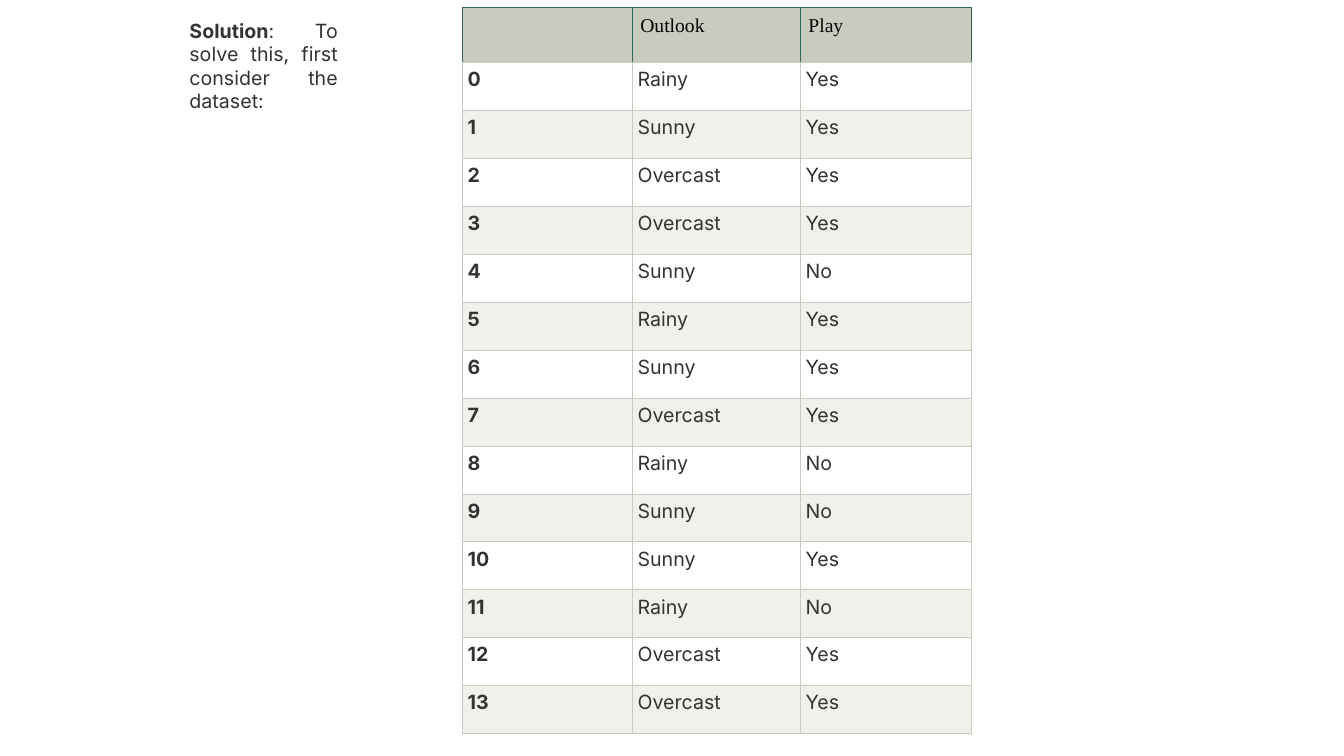
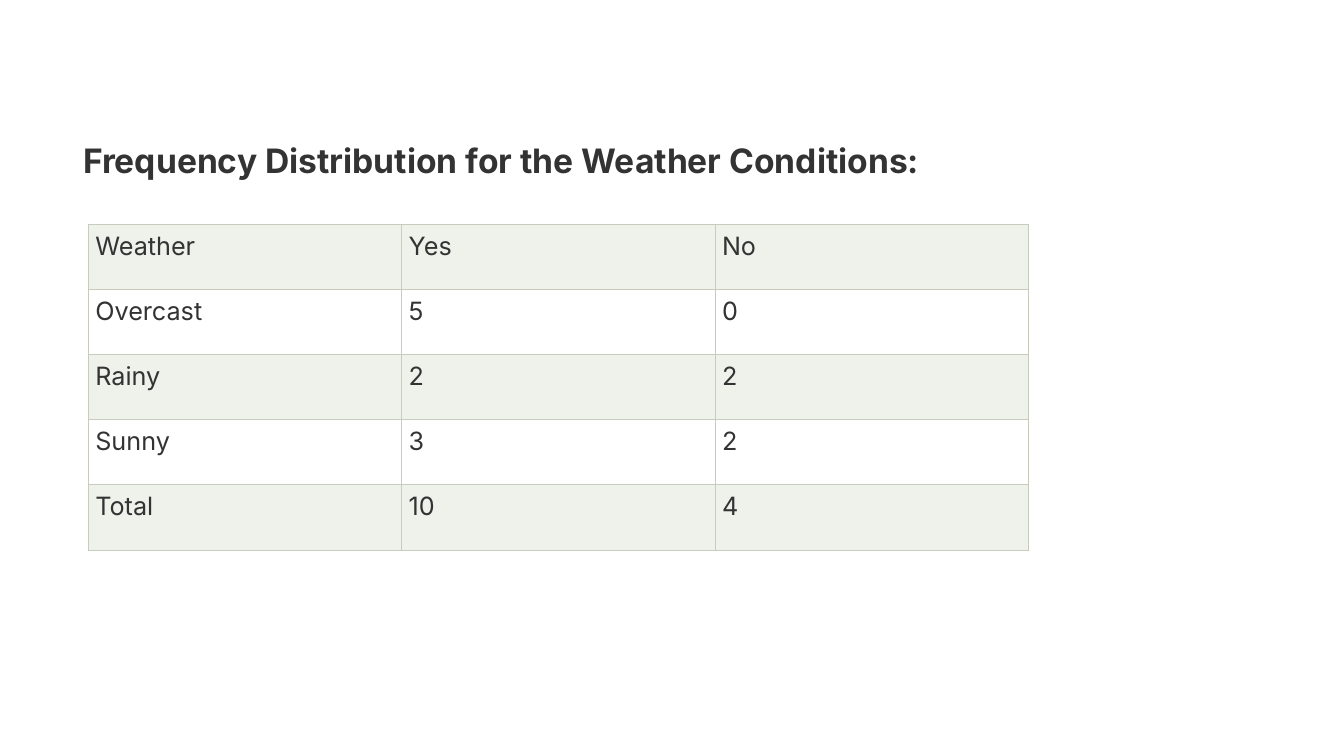
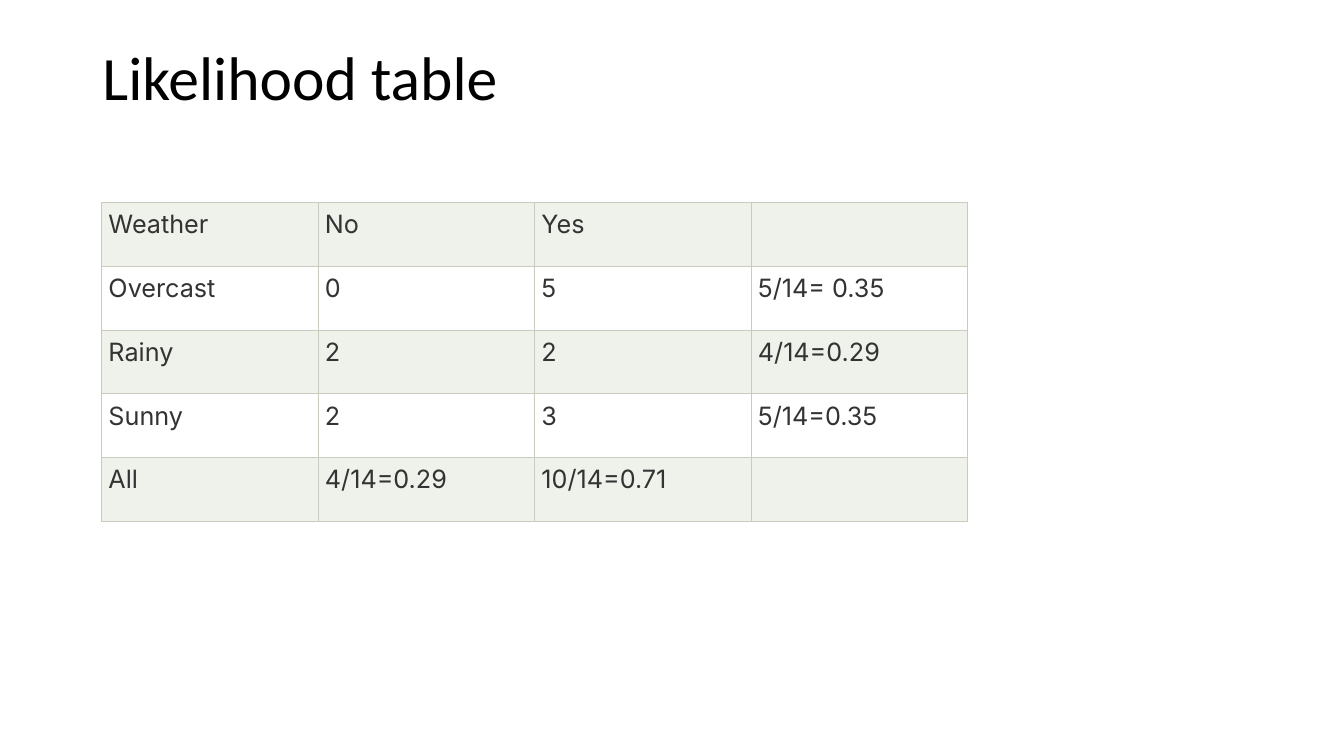
from pptx import Presentation
from pptx.dml.color import RGBColor
from pptx.enum.shapes import MSO_SHAPE
from pptx.enum.text import MSO_ANCHOR as ANCHOR, MSO_AUTO_SIZE as AUTO, PP_ALIGN as ALIGN
from pptx.oxml import parse_xml
from pptx.oxml.ns import nsdecls
from pptx.util import Pt

# Shared look
FONT = "Inter"
INK, BLACK, WHITE = "333333", "000000", "FFFFFF"
BAND, SAGE, GREEN = "EFF1EB", "C7CCBE", "30685E"
TITLE_ONLY, BLANK = 5, 6


def style(p, size, color=INK, font=FONT, bold=False, align=ALIGN.JUSTIFY):
    p.alignment = align
    for r in p.runs:
        r.font.name, r.font.size, r.font.bold = font, Pt(size), bold
        r.font.color.rgb = RGBColor.from_string(color)


def add_grid(s, rows, left, top, widths, heights, size, inset):
    """Add a table with thin sage borders whose even rows are tinted."""
    table = s.shapes.add_table(len(rows), len(widths), Pt(left), Pt(top),
                               Pt(sum(widths)), Pt(sum(heights))).table
    table.first_row = table.horz_banding = False
    for col, width in zip(table.columns, widths):
        col.width = Pt(width)
    for i, (row, height) in enumerate(zip(rows, heights)):
        table.rows[i].height = Pt(height)
        for j, text in enumerate(row):
            cell = table.cell(i, j)
            cell.margin_left = cell.margin_right = Pt(inset)
            cell.margin_top = cell.margin_bottom = Pt(inset)
            for side in "LRTB":
                cell._tc.get_or_add_tcPr().append(parse_xml(
                    f'<a:ln{side} {nsdecls("a")} w="{Pt(0.6)}"><a:solidFill>'
                    f'<a:srgbClr val="{SAGE}"/></a:solidFill></a:ln{side}>'))
            cell.fill.solid()
            cell.fill.fore_color.rgb = RGBColor.from_string(WHITE if i % 2 else BAND)
            if text:
                cell.text_frame.text = text
                style(cell.text_frame.paragraphs[0], size)
    return table


prs = Presentation()
prs.slide_width, prs.slide_height = Pt(960), Pt(540)
dataset, frequency, likelihood = [
    prs.slides.add_slide(prs.slide_layouts[n]) for n in (BLANK, BLANK, TITLE_ONLY)]

# Slide 1: dataset
outlook = ["Rainy", "Sunny", "Overcast", "Overcast", "Sunny", "Rainy", "Sunny",
           "Overcast", "Rainy", "Sunny", "Sunny", "Rainy", "Overcast", "Overcast"]
play = ["Yes", "Yes", "Yes", "Yes", "No", "Yes", "Yes",
        "Yes", "No", "No", "Yes", "No", "Yes", "Yes"]
rows = [["", "Outlook", "Play"]]
rows += [[str(n), o, y] for n, (o, y) in enumerate(zip(outlook, play))]
table = add_grid(dataset, rows, 330.3, 5.3, [121.3, 120.1, 122.2],
                 [39.3] + [34.27] * len(play), 14, 3.8)

# Header row: sage fill, green edges, serif text
for cell in table.rows[0].cells:
    cell.fill.fore_color.rgb = RGBColor.from_string(SAGE)
    cell.margin_left = cell.margin_right = Pt(5.8)
    cell.margin_top = cell.margin_bottom = Pt(5.8)
    for side in "LRT":
        cell._tc.tcPr.find(f"{{*}}ln{side}").find(".//{*}srgbClr").set("val", GREEN)
    style(cell.text_frame.paragraphs[0], 14, BLACK, "Times New Roman", align=ALIGN.LEFT)

# Bold row numbers
for i in range(1, len(rows)):
    style(table.cell(i, 0).text_frame.paragraphs[0], 14, bold=True)

# Slide 2: frequency table
rows = [
    ["Weather", "Yes", "No"],
    ["Overcast", "5", "0"],
    ["Rainy", "2", "2"],
    ["Sunny", "3", "2"],
    ["Total", "10", "4"],
]
add_grid(frequency, rows, 63.2, 160, [223.85] * 3, [46.6] * 5, 18, 4.9)

# Introduction on slide 1 and heading on slide 2: white boxes
boxes = [
    (dataset, (128.25, 17.6, 120.25, 58.5), 14,
     "Solution", ": To solve this, first consider the dataset:"),
    (frequency, (52.2, 96, 697, 36), 24,
     "Frequency Distribution for the Weather Conditions:", ""),
]
for s, box, size, strong, rest in boxes:
    sp = s.shapes.add_shape(MSO_SHAPE.RECTANGLE, *map(Pt, box))
    sp.shadow.inherit = False
    sp.fill.solid()
    sp.fill.fore_color.rgb = RGBColor.from_string(WHITE)
    sp.line.fill.background()
    tf = sp.text_frame
    tf.word_wrap, tf.auto_size, tf.vertical_anchor = True, AUTO.SHAPE_TO_FIT_TEXT, ANCHOR.MIDDLE
    p = tf.paragraphs[0]
    p.text = strong
    if rest:
        p.add_run().text = rest
    style(p, size)
    p.runs[0].font.bold = True

# Slide 3: likelihood table
rows = [
    ["Weather", "No", "Yes", ""],
    ["Overcast", "0", "5", "5/14= 0.35"],
    ["Rainy", "2", "2", "4/14=0.29"],
    ["Sunny", "2", "3", "5/14=0.35"],
    ["All", "4/14=0.29", "10/14=0.71", ""],
]
add_grid(likelihood, rows, 72.5, 144.55, [154.65] * 4, [45.56] * 5, 18, 5)

# Title
sp = likelihood.shapes.title
sp.left, sp.top, sp.width, sp.height = Pt(66), Pt(28.75), Pt(823.75), Pt(57.5)
tf = sp.text_frame
tf.text = "Likelihood table"
tf.word_wrap, tf.auto_size, tf.vertical_anchor = True, AUTO.NONE, ANCHOR.MIDDLE
tf.paragraphs[0].line_spacing = 0.9
style(tf.paragraphs[0], 44, BLACK, "Calibri", align=ALIGN.LEFT)

prs.save("out.pptx")
